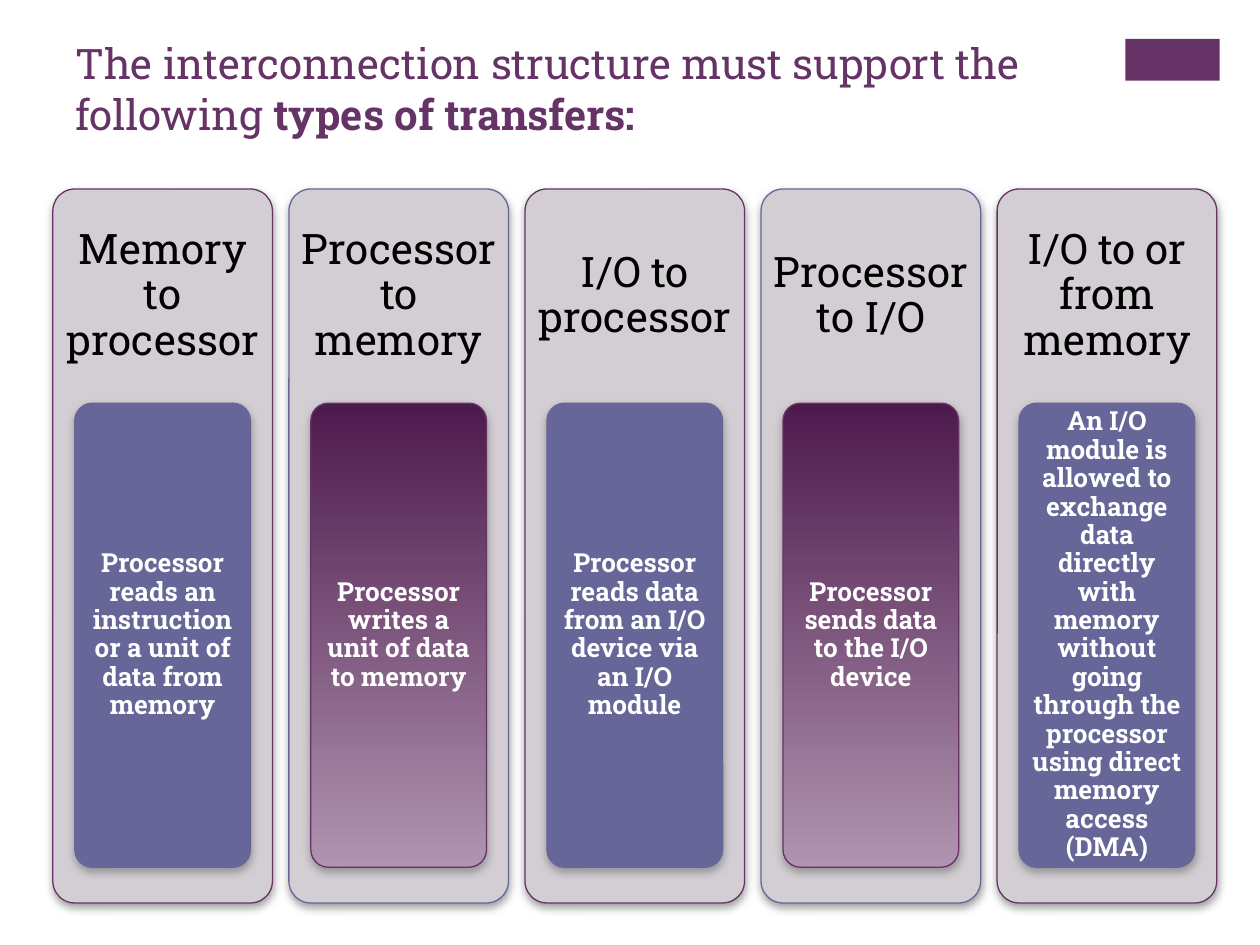
import pptx
import pptx.dml.color
import pptx.enum.shapes
import pptx.enum.text
import pptx.oxml
import pptx.oxml.ns
import pptx.util
from dataclasses import dataclass

Pt = pptx.util.Pt
SHAPE = pptx.enum.shapes.MSO_SHAPE
ANCHOR = pptx.enum.text.MSO_ANCHOR
ALIGN = pptx.enum.text.PP_ALIGN


@dataclass(frozen=True)
class Theme:
    font: str = "Roboto Slab"
    purple: str = "663366"
    blue: str = "666699"
    card: str = "D3CED3"
    gradient: tuple = ("4D1A4D", "AF94AF")
    shadow: str = "808080"
    black: str = "000000"
    white: str = "FFFFFF"
    heading_size: int = 24
    body_size: int = 15


def rgb(value):
    return pptx.dml.color.RGBColor.from_string(value)


class SlideBuilder:
    def __init__(self, page, theme):
        self.page = page
        self.theme = theme

    def block(self, kind, left, top, width, height, fill, line=None):
        """Add a shape; a tuple as fill makes a top-to-bottom gradient."""
        shape = self.page.shapes.add_shape(
            kind, Pt(left), Pt(top), Pt(width), Pt(height))
        shape.shadow.inherit = False
        if isinstance(fill, tuple):
            shape.fill.gradient()
            shape.fill.gradient_angle = 270
            for stop, color in zip(shape.fill.gradient_stops, fill):
                stop.color.rgb = rgb(color)
        else:
            shape.fill.solid()
            shape.fill.fore_color.rgb = rgb(fill)
        if line:
            shape.line.color.rgb = rgb(line)
            shape.line.width = Pt(0.75)
        else:
            shape.line.fill.background()
        return shape

    def panel(self, left, top, width, height, fill, line):
        """Add a rounded rectangle with a soft shadow below it."""
        shape = self.block(SHAPE.ROUNDED_RECTANGLE, left, top, width, height, fill, line)
        shape.adjustments[0] = 0.1
        effects = shape._element.spPr.find(pptx.oxml.ns.qn("a:effectLst"))
        effects.append(pptx.oxml.parse_xml(
            f'<a:outerShdw {pptx.oxml.ns.nsdecls("a")} blurRad="{Pt(5)}" dist="{Pt(2)}"'
            ' dir="5400000" rotWithShape="0">'
            f'<a:srgbClr val="{self.theme.shadow}"><a:alpha val="75000"/></a:srgbClr>'
            '</a:outerShdw>'))

    def text(self, left, top, width, height, spans, size, color, insets,
             align=ALIGN.CENTER, anchor=ANCHOR.MIDDLE, spacing=0.9):
        """Add one paragraph made of (text, bold) spans."""
        box = self.page.shapes.add_textbox(Pt(left), Pt(top), Pt(width), Pt(height))
        frame = box.text_frame
        frame.word_wrap = True
        frame.vertical_anchor = anchor
        frame.margin_left = frame.margin_right = Pt(insets[0])
        frame.margin_top = frame.margin_bottom = Pt(insets[1])
        para = frame.paragraphs[0]
        para.alignment = align
        para.line_spacing = spacing
        for words, bold in spans:
            span = para.add_run()
            span.text = words
            span.font.name = self.theme.font
            span.font.size = Pt(size)
            span.font.bold = bold
            span.font.color.rgb = rgb(color)


TRANSFERS = [
    ("Memory to processor",
     "Processor reads an instruction or a unit of data from memory"),
    ("Processor to memory", "Processor writes a unit of data to memory"),
    ("I/O to processor", "Processor reads data from an I/O device via an I/O module"),
    ("Processor to I/O", "Processor sends data to the I/O device"),
    ("I/O to or from memory",
     "An I/O module is allowed to exchange data directly with memory without going "
     "through the processor using direct memory access (DMA)"),
]

# Column grid, in points
FIRST_LEFT, PITCH = 30.2, 134.9
CARD_TOP, CARD_WIDTH, CARD_HEIGHT = 108, 125.5, 408
TILE_TOP, TILE_WIDTH, TILE_HEIGHT = 230.4, 100.4, 265.2
TILE_PADDING = 2.94


def main():
    deck = pptx.Presentation()
    deck.slide_width, deck.slide_height = Pt(720), Pt(540)
    theme = Theme()
    slide = SlideBuilder(deck.slides.add_slide(deck.slide_layouts[6]), theme)

    # Corner accent and title
    slide.block(SHAPE.RECTANGLE, 643, 22.3, 54, 23.8, theme.purple)
    slide.text(36, 18, 595, 88,
               [("The interconnection structure must support the following ", False),
                ("types of transfers:", True)],
               theme.heading_size, theme.purple, (7.2, 3.6),
               ALIGN.LEFT, ANCHOR.TOP, 1.0)

    # One card per transfer type, in alternating colours
    for index, (heading, description) in enumerate(TRANSFERS):
        left = FIRST_LEFT + index * PITCH
        if index % 2 == 0:
            card_line, tile_fill, tile_line = theme.purple, theme.blue, theme.blue
        else:
            card_line, tile_fill, tile_line = theme.blue, theme.gradient, theme.purple

        slide.panel(left, CARD_TOP, CARD_WIDTH, CARD_HEIGHT, theme.card, card_line)
        slide.text(left, CARD_TOP, CARD_WIDTH, TILE_TOP - CARD_TOP, [(heading, False)],
                   theme.heading_size, theme.black, (7.2, 7.2))

        tile_left = left + (CARD_WIDTH - TILE_WIDTH) / 2
        slide.panel(tile_left, TILE_TOP, TILE_WIDTH, TILE_HEIGHT, tile_fill, tile_line)
        slide.text(tile_left + TILE_PADDING, TILE_TOP + TILE_PADDING,
                   TILE_WIDTH - 2 * TILE_PADDING, TILE_HEIGHT - 2 * TILE_PADDING,
                   [(description, True)], theme.body_size, theme.white, (3, 2.25))

    deck.save("out.pptx")


if __name__ == "__main__":
    main()
